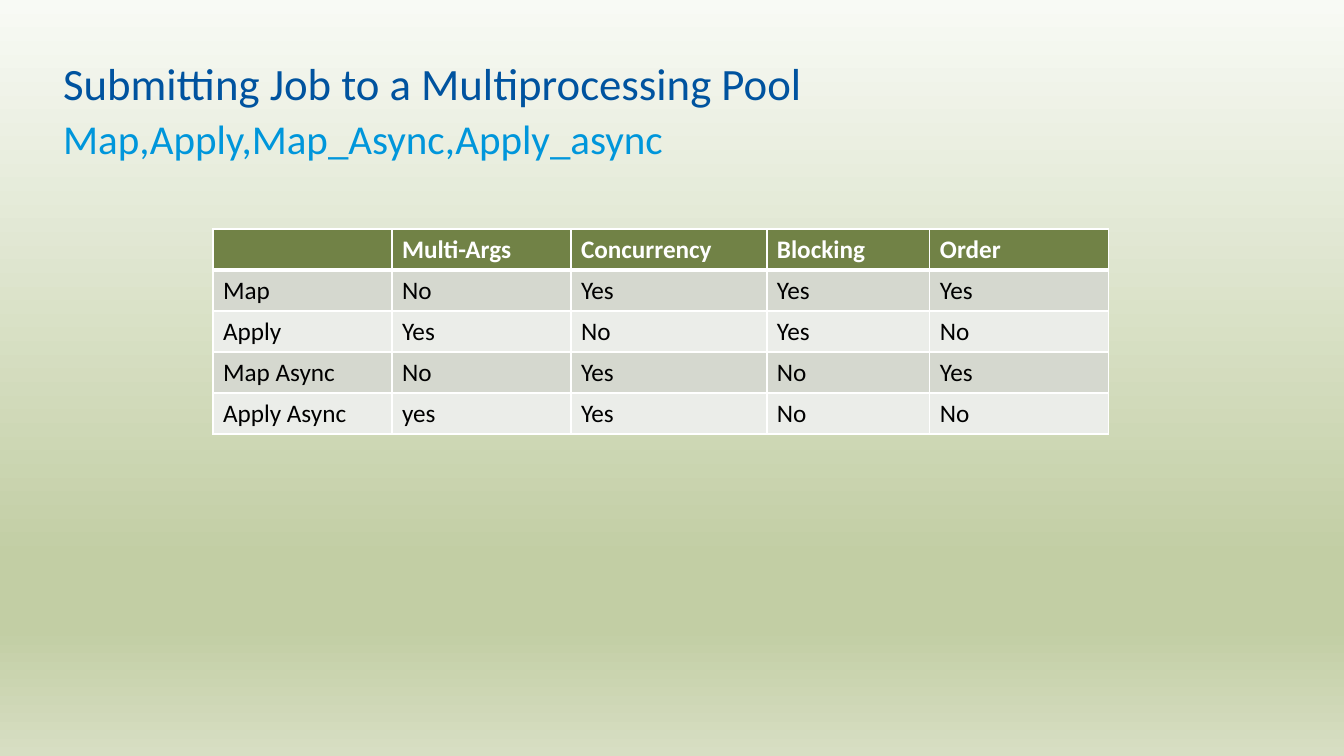
from lxml.etree import SubElement
from pptx import Presentation
from pptx.dml.color import RGBColor
from pptx.enum.text import MSO_ANCHOR, MSO_AUTO_SIZE, PP_ALIGN
from pptx.oxml.ns import qn
from pptx.util import Inches, Pt

PX = Inches(1) / 100.8
FONT = "Calibri"

NAVY = RGBColor(0x00, 0x53, 0x9F)
SKY = RGBColor(0x00, 0x96, 0xDB)
WHITE = RGBColor(0xFF, 0xFF, 0xFF)
BLACK = RGBColor(0x00, 0x00, 0x00)
OLIVE = RGBColor(0x71, 0x82, 0x46)
BAND_DARK = RGBColor(0xD5, 0xD8, 0xCF)
BAND_LIGHT = RGBColor(0xEB, 0xED, 0xE9)
MOSS = RGBColor(0xC2, 0xCE, 0xA4)
BACKDROP = [
    (0, RGBColor(0xF8, 0xFA, 0xF5)),
    (74, MOSS),
    (83, MOSS),
    (100, RGBColor(0xD7, 0xDE, 0xC3)),
]

COLUMN_WIDTHS = [179, 179, 196, 163, 179]
ROW_HEIGHT = 41
POOL_METHODS = [
    ["", "Multi-Args", "Concurrency", "Blocking", "Order"],
    ["Map", "No", "Yes", "Yes", "Yes"],
    ["Apply", "Yes", "No", "Yes", "No"],
    ["Map Async", "No", "Yes", "No", "Yes"],
    ["Apply Async", "yes", "Yes", "No", "No"],
]


def px(length):
    return round(length * PX)


def add_run(paragraph, text, size, color, bold=False):
    run = paragraph.add_run()
    run.text = text
    run.font.name = FONT
    run.font.size = Pt(size)
    run.font.bold = bold
    run.font.color.rgb = color


def paint_background(slide, stops):
    fill = slide.background.fill
    fill.gradient()
    fill.gradient_angle = 270  # top to bottom
    stop_list = next(slide.background._cSld.iter(qn("a:gsLst")))
    stop_list.clear()
    for percent, color in stops:
        stop = SubElement(stop_list, qn("a:gs"), pos=str(percent * 1000))
        SubElement(stop, qn("a:srgbClr"), val=str(color))


def fill_heading(heading, box, text, size, color, anchor, spacing):
    heading.left, heading.top, heading.width, heading.height = map(px, box)
    frame = heading.text_frame
    frame.word_wrap = True
    frame.auto_size = MSO_AUTO_SIZE.NONE
    frame.vertical_anchor = anchor
    paragraph = frame.paragraphs[0]
    paragraph.alignment = PP_ALIGN.LEFT
    paragraph.line_spacing = spacing
    paragraph.space_before = Pt(0)
    add_run(paragraph, text, size, color)


def set_borders(cell, top, bottom):
    properties = cell._tc.get_or_add_tcPr()
    for side, points in (("L", 1), ("R", 1), ("T", top), ("B", bottom)):
        line = SubElement(properties, qn(f"a:ln{side}"), w=str(Pt(points)))
        solid = SubElement(line, qn("a:solidFill"))
        SubElement(solid, qn("a:srgbClr"), val=str(WHITE))


def add_comparison(slide, left, top, rows):
    table = slide.shapes.add_table(
        len(rows), len(COLUMN_WIDTHS), px(left), px(top),
        px(sum(COLUMN_WIDTHS)), px(ROW_HEIGHT * len(rows))).table
    for column, width in zip(table.columns, COLUMN_WIDTHS):
        column.width = px(width)
    for r, labels in enumerate(rows):
        is_header = r == 0
        band = OLIVE if is_header else BAND_DARK if r % 2 else BAND_LIGHT
        for c, label in enumerate(labels):
            cell = table.cell(r, c)
            # The rule under the header is thicker
            set_borders(cell, top=3 if r == 1 else 1, bottom=3 if is_header else 1)
            cell.fill.solid()
            cell.fill.fore_color.rgb = band
            if label:
                add_run(cell.text_frame.paragraphs[0], label, 18,
                        WHITE if is_header else BLACK, is_header)


def main():
    deck = Presentation()
    deck.slide_width, deck.slide_height = px(1344), px(756)
    slide = deck.slides.add_slide(deck.slide_layouts[0])
    paint_background(slide, BACKDROP)

    # Title and subtitle
    title, subtitle = slide.placeholders
    fill_heading(title, (53, 11, 1234, 104), "Submitting Job to a Multiprocessing Pool",
                 32, NAVY, MSO_ANCHOR.BOTTOM, 0.85)
    fill_heading(subtitle, (53, 118, 1234, 39), "Map,Apply,Map_Async,Apply_async",
                 29.3, SKY, MSO_ANCHOR.TOP, 0.8)

    # Comparison of pool methods
    add_comparison(slide, 213, 229, POOL_METHODS)

    deck.save("out.pptx")


main()
